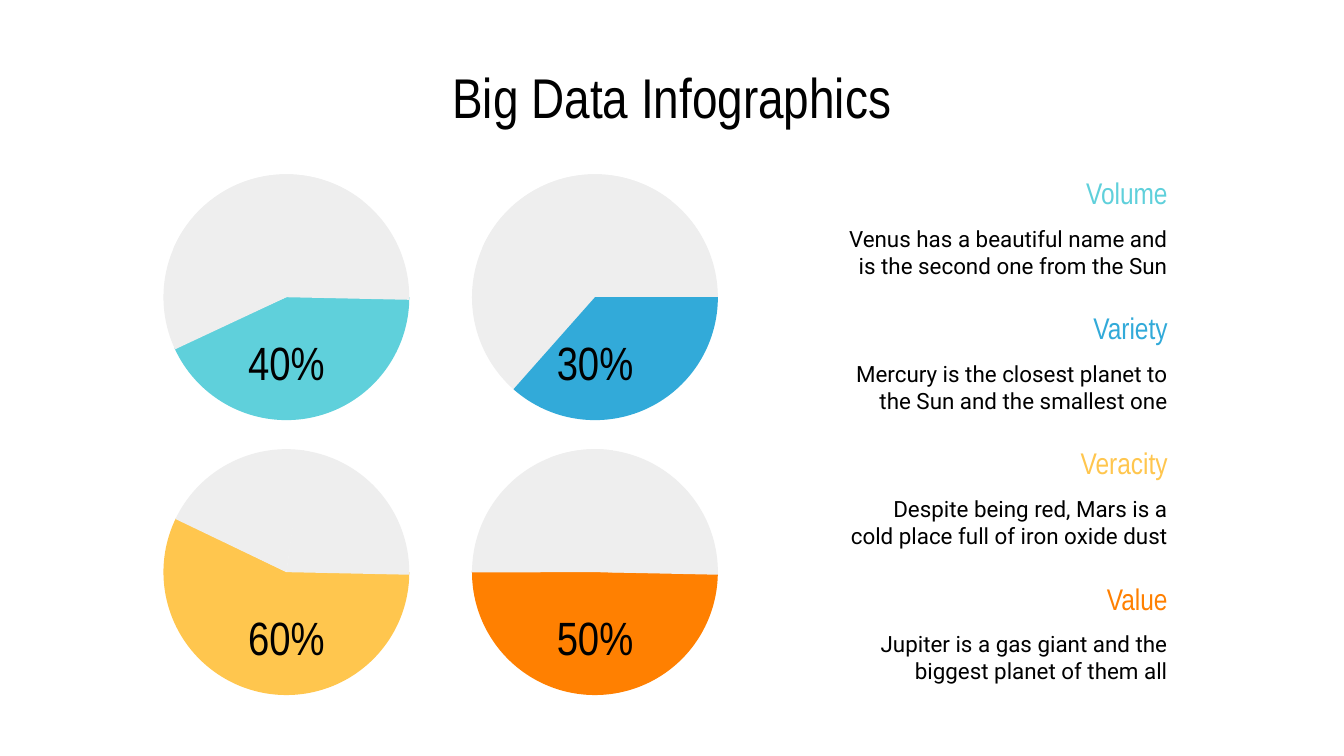
"""Build the Big Data Infographics slide: four percentage pies and four captions."""
from typing import NamedTuple

from pptx import Presentation
from pptx.dml.color import RGBColor
from pptx.enum.shapes import MSO_SHAPE as Preset
from pptx.enum.text import MSO_ANCHOR as Anchor, PP_ALIGN as Align
from pptx.util import Pt

BLACK, GREY = "000000", "EEEEEE"
TEAL, BLUE, YELLOW, ORANGE = "5FD0DB", "32AAD9", "FFC64E", "FF8001"
HEADING_FONT, BODY_FONT = "Arial Narrow", "Roboto"
DIAMETER = 131.7
PIE_LEFT, PIE_TOP, COLUMN_STEP, ROW_STEP = 87.6, 93.4, 165.3, 147.3
CAPTION_TOP, CAPTION_STEP, CAPTION_RIGHT = 93.6, 72.4, 632.6


class Wedge(NamedTuple):
    start: float
    end: float
    colour: str


class Pie(NamedTuple):
    column: int
    row: int
    label: str
    wedges: tuple[Wedge, ...]


class Caption(NamedTuple):
    heading: str
    colour: str
    body: str


class Style(NamedTuple):
    size: float
    font: str
    colour: str
    align: Align


PIES = (
    Pie(0, 1, "60%", (Wedge(0, 205.95, YELLOW), Wedge(205.59, 278.35, GREY),
                      Wedge(277.79, 1.22, GREY))),
    Pie(1, 1, "50%", (Wedge(0.52, 180.75, ORANGE), Wedge(179.87, 278.35, GREY),
                      Wedge(248.62, 1.22, GREY))),
    Pie(0, 0, "40%", (Wedge(0, 155.65, TEAL), Wedge(154.91, 308.54, GREY),
                      Wedge(203.32, 1.22, GREY))),
    Pie(1, 0, "30%", (Wedge(128.13, 308.54, GREY), Wedge(203.32, 1.22, GREY),
                      Wedge(0, 131.54, BLUE))),
)
CAPTIONS = (
    Caption("Volume", TEAL, "Venus has a beautiful name and is the second one from the Sun"),
    Caption("Variety", BLUE, "Mercury is the closest planet to the Sun and the smallest one"),
    Caption("Veracity", YELLOW, "Despite being red, Mars is a cold place full of iron oxide dust"),
    Caption("Value", ORANGE, "Jupiter is a gas giant and the biggest planet of them all"),
)


def colour_of(code: str) -> RGBColor:
    return RGBColor.from_string(code)


def add_text(shapes, left: float, top: float, width: float, height: float,
             text: str, style: Style) -> None:
    box = shapes.add_textbox(Pt(left), Pt(top), Pt(width), Pt(height))
    frame = box.text_frame
    frame.word_wrap = True
    frame.vertical_anchor = Anchor.MIDDLE
    frame.margin_left = frame.margin_right = Pt(7.2)
    frame.margin_top = frame.margin_bottom = Pt(7.2)
    para = frame.paragraphs[0]
    para.alignment = style.align
    span = para.add_run()
    span.text = text
    span.font.size = Pt(style.size)
    span.font.name = style.font
    span.font.color.rgb = colour_of(style.colour)


def add_wedge(shapes, left: float, top: float, wedge: Wedge) -> None:
    shape = shapes.add_shape(Preset.PIE, Pt(left), Pt(top), Pt(DIAMETER), Pt(DIAMETER))
    shape.adjustments[0] = wedge.start * 0.6
    shape.adjustments[1] = wedge.end * 0.6
    shape.shadow.inherit = False
    shape.fill.solid()
    shape.fill.fore_color.rgb = colour_of(wedge.colour)
    shape.line.fill.background()


def add_pie(page, pie: Pie) -> None:
    left = PIE_LEFT + pie.column * COLUMN_STEP
    top = PIE_TOP + pie.row * ROW_STEP
    group = page.shapes.add_group_shape()
    for wedge in pie.wedges:
        add_wedge(group.shapes, left, top, wedge)
    add_text(group.shapes, left + 30.2, top + 78.2, 71.3, 44.6, pie.label,
             Style(25, HEADING_FONT, BLACK, Align.CENTER))


def add_caption(page, index: int, caption: Caption) -> None:
    top = CAPTION_TOP + index * CAPTION_STEP
    add_text(page.shapes, CAPTION_RIGHT - 107.3, top, 107.3, 19.4, caption.heading,
             Style(16, HEADING_FONT, caption.colour, Align.RIGHT))
    add_text(page.shapes, CAPTION_RIGHT - 185.6, top + 20.9, 185.6, 41, caption.body,
             Style(12, BODY_FONT, BLACK, Align.RIGHT))


def main() -> None:
    deck = Presentation()
    deck.slide_width, deck.slide_height = Pt(720), Pt(405)
    page = deck.slides.add_slide(deck.slide_layouts[6])
    add_text(page.shapes, 36, 32.4, 648, 38.2, "Big Data Infographics",
             Style(30, HEADING_FONT, BLACK, Align.CENTER))
    for pie in PIES:
        add_pie(page, pie)
    for index, caption in enumerate(CAPTIONS):
        add_caption(page, index, caption)
    deck.save("out.pptx")


if __name__ == "__main__":
    main()
